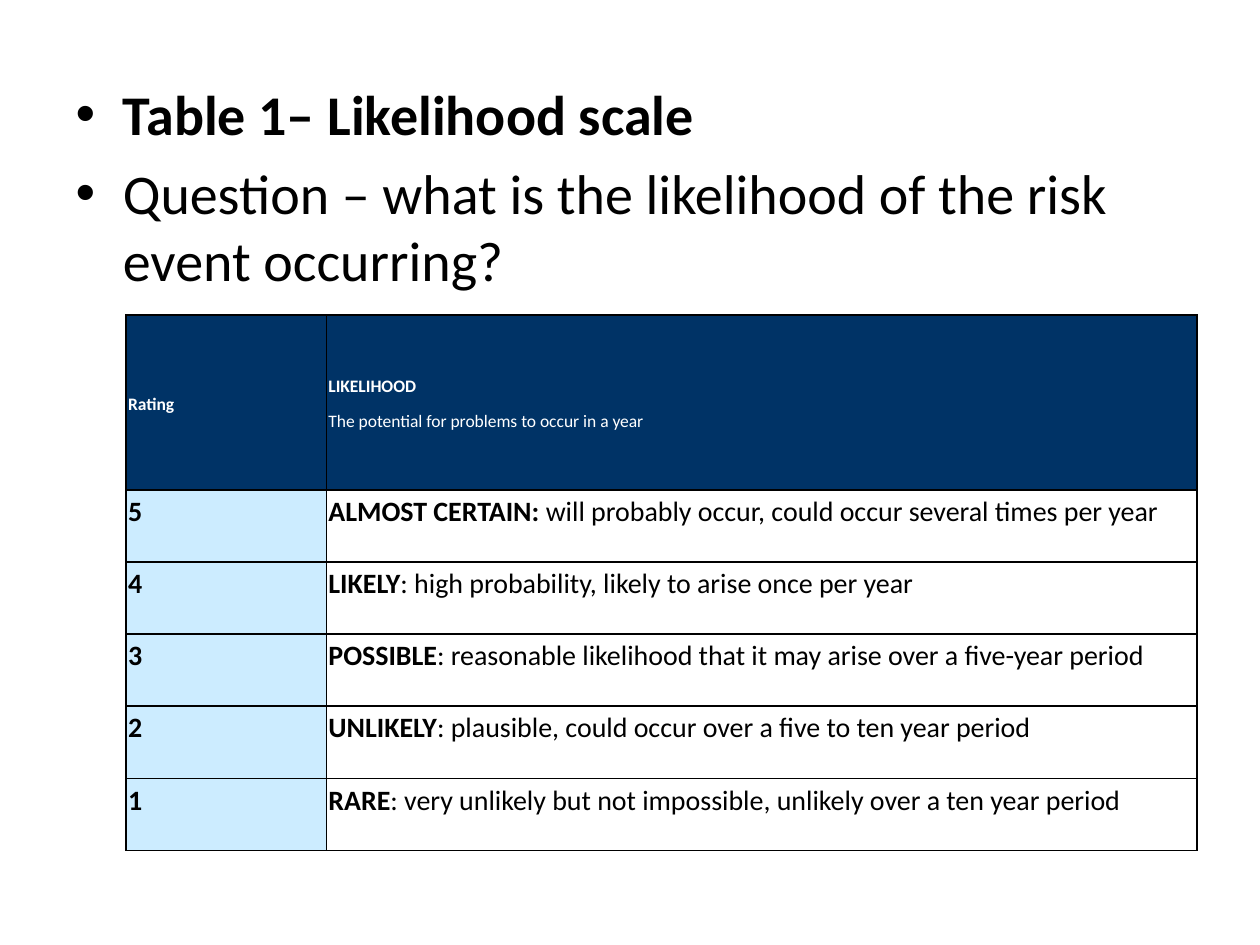
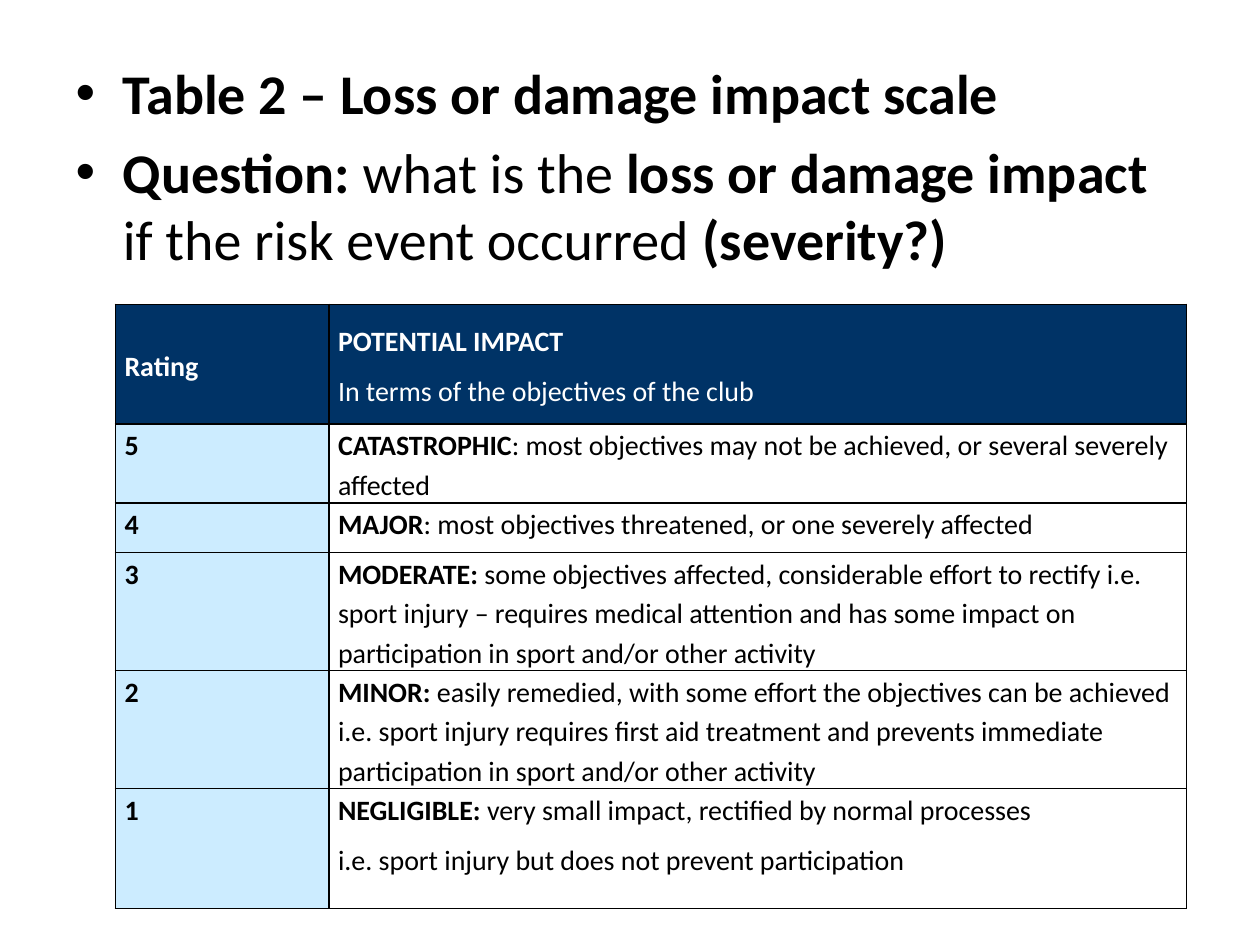
from pptx import Presentation
from pptx.dml.color import RGBColor
from pptx.enum.text import MSO_ANCHOR, MSO_AUTO_SIZE, PP_ALIGN
from pptx.oxml import parse_xml
from pptx.oxml.ns import nsdecls
from pptx.util import Pt

COLORS = {"text": "000000", "header": "003366", "header_text": "FFFFFF",
          "rating": "CCECFF", "page": "FFFFFF", "border": "000000"}
FONT = "Calibri"
TITLE_AND_CONTENT = 1

# Text between ** marks is bold. Each cell is a list of paragraphs.
SCALES = [
    {
        "bullets": ["**Table 1– Likelihood scale**",
                    "Question – what is the likelihood of the risk event occurring?"],
        "bullets_top": 42,
        "bullets_height": 440.5,
        "table_at": (72, 180),
        "columns": (114.5, 497.5),
        "row_heights": [100] + [41.2] * 5,
        "inset": 1.2,
        "header_size": 10,
        "header": ["**LIKELIHOOD**", "The potential for problems to occur in a year"],
        "levels": [
            ["**ALMOST CERTAIN:** will probably occur, could occur several times per year"],
            ["**LIKELY**: high probability, likely to arise once per year"],
            ["**POSSIBLE**: reasonable likelihood that it may arise over a five-year period"],
            ["**UNLIKELY**: plausible, could occur over a five to ten year period"],
            ["**RARE**: very unlikely but not impossible, unlikely over a ten year period"],
        ],
    },
    {
        "bullets": ["**Table 2 – Loss or damage impact scale**",
                    "**Question: **what is the **loss or damage impact** if the risk event "
                    "occurred **(severity?)**"],
        "bullets_top": 30,
        "bullets_height": 452.5,
        "table_at": (66, 174),
        "columns": (122, 490),
        "row_heights": [68.4, 44.6, 28.4, 67.4, 67.4, 68.4],
        "inset": 5.2,
        "header_size": 16,
        "header": ["**POTENTIAL IMPACT**", "In terms of the objectives of the club"],
        "levels": [
            ["**CATASTROPHIC**: most objectives may not be achieved, or several severely affected"],
            ["**MAJOR**: most objectives threatened, or one severely affected"],
            ["**MODERATE:** some objectives affected, considerable effort to rectify i.e. sport "
             "injury – requires medical attention and has some impact on participation in sport "
             "and/or other activity"],
            ["**MINOR:** easily remedied, with some effort the objectives can be achieved i.e. "
             "sport injury requires first aid treatment and prevents immediate participation in "
             "sport and/or other activity"],
            ["**NEGLIGIBLE:** very small impact, rectified by normal processes",
             "i.e. sport injury but does not prevent participation"],
        ],
    },
]


def write_text(frame, lines, size, color="text", align=None, line_spacing=None, after=None):
    for index, line in enumerate(lines):
        paragraph = frame.add_paragraph() if index else frame.paragraphs[0]
        if index == 0:
            paragraph.space_before = Pt(0)
        paragraph.alignment = align
        paragraph.line_spacing = line_spacing
        paragraph.space_after = None if after is None else Pt(after)
        for part_index, part in enumerate(line.split("**")):
            if not part:
                continue
            run = paragraph.add_run()
            run.text = part
            run.font.name = FONT
            run.font.size = Pt(size)
            run.font.bold = part_index % 2 == 1
            run.font.color.rgb = RGBColor.from_string(COLORS[color])


def add_borders(cell):
    properties = cell._tc.get_or_add_tcPr()
    for index, side in enumerate(("lnL", "lnR", "lnT", "lnB")):
        properties.insert(index, parse_xml(
            f'<a:{side} {nsdecls("a")} w="{Pt(1)}"><a:solidFill>'
            f'<a:srgbClr val="{COLORS["border"]}"/></a:solidFill></a:{side}>'))


def fill_cell(cell, lines, fill, inset, anchor=MSO_ANCHOR.TOP, **text_format):
    cell.margin_left = cell.margin_right = Pt(inset)
    cell.margin_top = cell.margin_bottom = Pt(0)
    cell.vertical_anchor = anchor
    cell.fill.solid()
    cell.fill.fore_color.rgb = RGBColor.from_string(COLORS[fill])
    add_borders(cell)
    write_text(cell.text_frame, lines, line_spacing=1.15, after=6, **text_format)


def add_bullets(slide, scale):
    body = slide.placeholders[1]
    body.left, body.top = Pt(36), Pt(scale["bullets_top"])
    body.width, body.height = Pt(648), Pt(scale["bullets_height"])
    body.text_frame.auto_size = MSO_AUTO_SIZE.NONE
    write_text(body.text_frame, scale["bullets"], size=32)


def add_rating_table(slide, scale):
    widths, heights = scale["columns"], scale["row_heights"]
    left, top = scale["table_at"]
    table = slide.shapes.add_table(len(heights), len(widths), Pt(left), Pt(top),
                                   Pt(sum(widths)), Pt(sum(heights))).table
    table.first_row = table.horz_banding = False
    for column, width in zip(table.columns, widths):
        column.width = Pt(width)
    for row, height in zip(table.rows, heights):
        row.height = Pt(height)

    levels = scale["levels"]
    ratings = [f"**{rating}**" for rating in range(len(levels), 0, -1)]
    rows = zip(["**Rating**"] + ratings, [scale["header"]] + levels)
    for index, (rating, description) in enumerate(rows):
        if index == 0:
            fills = ("header", "header")
            style = {"size": scale["header_size"], "color": "header_text",
                     "anchor": MSO_ANCHOR.MIDDLE}
        else:
            fills = ("rating", "page")
            style = {"size": 16}
        style["inset"] = scale["inset"]
        fill_cell(table.cell(index, 0), [rating], fills[0], align=PP_ALIGN.JUSTIFY, **style)
        fill_cell(table.cell(index, 1), description, fills[1], **style)


def main():
    deck = Presentation()
    deck.slide_width, deck.slide_height = Pt(720), Pt(540)
    for scale in SCALES:
        slide = deck.slides.add_slide(deck.slide_layouts[TITLE_AND_CONTENT])
        title = slide.shapes.title.element
        title.getparent().remove(title)
        add_bullets(slide, scale)
        add_rating_table(slide, scale)
    deck.save("out.pptx")


if __name__ == "__main__":
    main()
